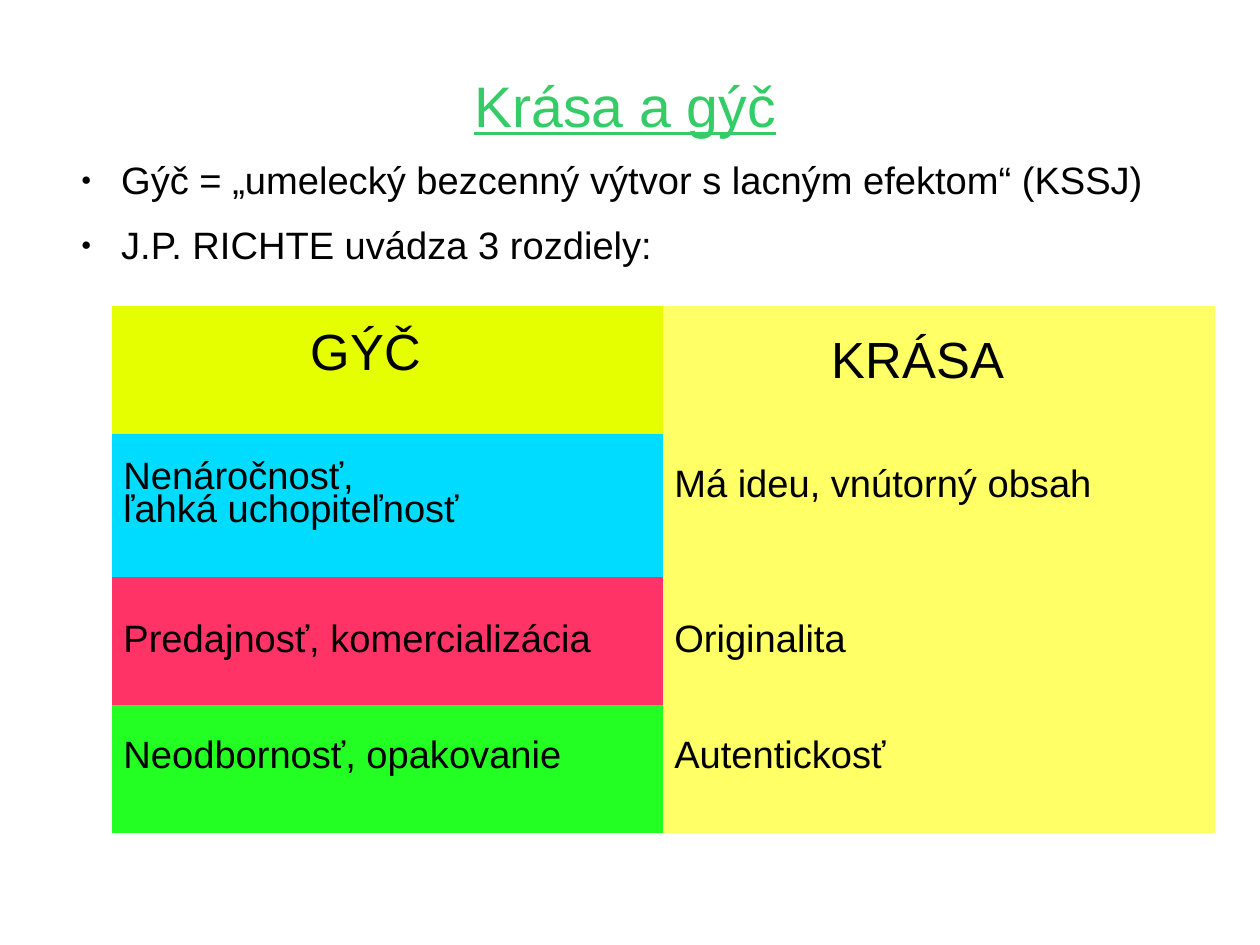
import pptx
import pptx.dml.color
import pptx.enum.text
import pptx.oxml
import pptx.oxml.ns
import pptx.util

Inches = pptx.util.Inches
Pt = pptx.util.Pt


def color(value):
    return pptx.dml.color.RGBColor.from_string(value)


def write_paragraph(paragraph, text, size, font_color="000000", **formats):
    paragraph.text = text
    for name, value in formats.items():
        setattr(paragraph, name, value)
    font = paragraph.runs[0].font
    for name, value in {"name": "Arial", "size": Pt(size), "bold": False}.items():
        setattr(font, name, value)
    font.color.rgb = color(font_color)
    return font


presentation = pptx.Presentation()
presentation.slide_width = pptx.util.Emu(10080625)
presentation.slide_height = pptx.util.Emu(7559675)
slide = presentation.slides.add_slide(presentation.slide_layouts[5])

title = slide.shapes.title
title_format = {"left": 0.51, "top": 0.29, "width": 9.92, "height": 1.28}
for name, value in title_format.items():
    setattr(title, name, Inches(value))
body = slide.shapes.add_textbox(Inches(0.59), Inches(1.38), Inches(9.92), Inches(6.05))
for shape, top_margin in ((title, 0.03), (body, 0.02)):
    frame_format = {
        "margin_left": 0,
        "margin_right": 0,
        "margin_bottom": 0,
        "margin_top": Inches(top_margin),
        "word_wrap": True,
        "auto_size": pptx.enum.text.MSO_AUTO_SIZE.NONE,
    }
    for name, value in frame_format.items():
        setattr(shape.text_frame, name, value)

title.text_frame.vertical_anchor = pptx.enum.text.MSO_ANCHOR.MIDDLE
title_font = write_paragraph(
    title.text_frame.paragraphs[0], "Krása a gýč", 36, "33CC66",
    alignment=pptx.enum.text.PP_ALIGN.CENTER, line_spacing=0.93,
)
title_font.underline = True

statements = [
    "Gýč = „umelecký bezcenný výtvor s lacným efektom“ (KSSJ)",
    "J.P. RICHTE uvádza 3 rozdiely:",
]
namespace = pptx.oxml.ns.nsdecls("a")
bullet_elements = [
    f'<a:buClr {namespace}><a:srgbClr val="000000"/></a:buClr>',
    f'<a:buSzPct {namespace} val="45000"/>',
    f'<a:buFont {namespace} typeface="Arial"/>',
    f'<a:buChar {namespace} char="●"/>',
]
for index, statement in enumerate(statements):
    frame = body.text_frame
    paragraph = frame.add_paragraph() if index else frame.paragraphs[0]
    write_paragraph(paragraph, statement, 24, line_spacing=0.93, space_after=Pt(14.3))
    properties = paragraph._p.get_or_add_pPr()
    properties.set("marL", str(Inches(0.47)))
    properties.set("indent", str(Inches(-0.35)))
    for element in bullet_elements:
        properties.append(pptx.oxml.parse_xml(element))

beauty_color = "FFFF66"
comparison = [
    (1.12, 32, ("GÝČ", "E6FF00", 1.74, 0.26), ("KRÁSA", beauty_color, 1.48, 0.33)),
    (1.25, 24, ("Nenáročnosť,\nľahká uchopiteľnosť", "00DCFF", 0.1, 0.26),
     ("Má ideu, vnútorný obsah", beauty_color, 0.1, 0.33)),
    (1.12, 24, ("Predajnosť, komercializácia", "FF3366", 0.1, 0.43),
     ("Originalita", beauty_color, 0.1, 0.43)),
    (1.12, 24, ("Neodbornosť, opakovanie", "23FF23", 0.1, 0.33),
     ("Autentickosť", beauty_color, 0.1, 0.33)),
]
table = slide.shapes.add_table(
    len(comparison), 2, Inches(0.98), Inches(2.68), Inches(9.65), Inches(4.61)
).table
table.first_row = False
table.horz_banding = False
style = table._tbl.tblPr.find(pptx.oxml.ns.qn("a:tableStyleId"))
style.text = "{2D5ABB26-0587-4C30-8999-92F81FD0307C}"
for column, width in zip(table.columns, (4.82, 4.83)):
    column.width = Inches(width)

for row_index, (height, size, *entries) in enumerate(comparison):
    table.rows[row_index].height = Inches(height)
    for column_index, (text, fill, left_margin, top_margin) in enumerate(entries):
        cell = table.cell(row_index, column_index)
        cell.fill.solid()
        cell.fill.fore_color.rgb = color(fill)
        cell.margin_left = Inches(left_margin)
        cell.margin_top = Inches(top_margin)
        cell.text = text
        for paragraph in cell.text_frame.paragraphs:
            write_paragraph(paragraph, paragraph.text, size, line_spacing=0.76)

presentation.save("out.pptx")
